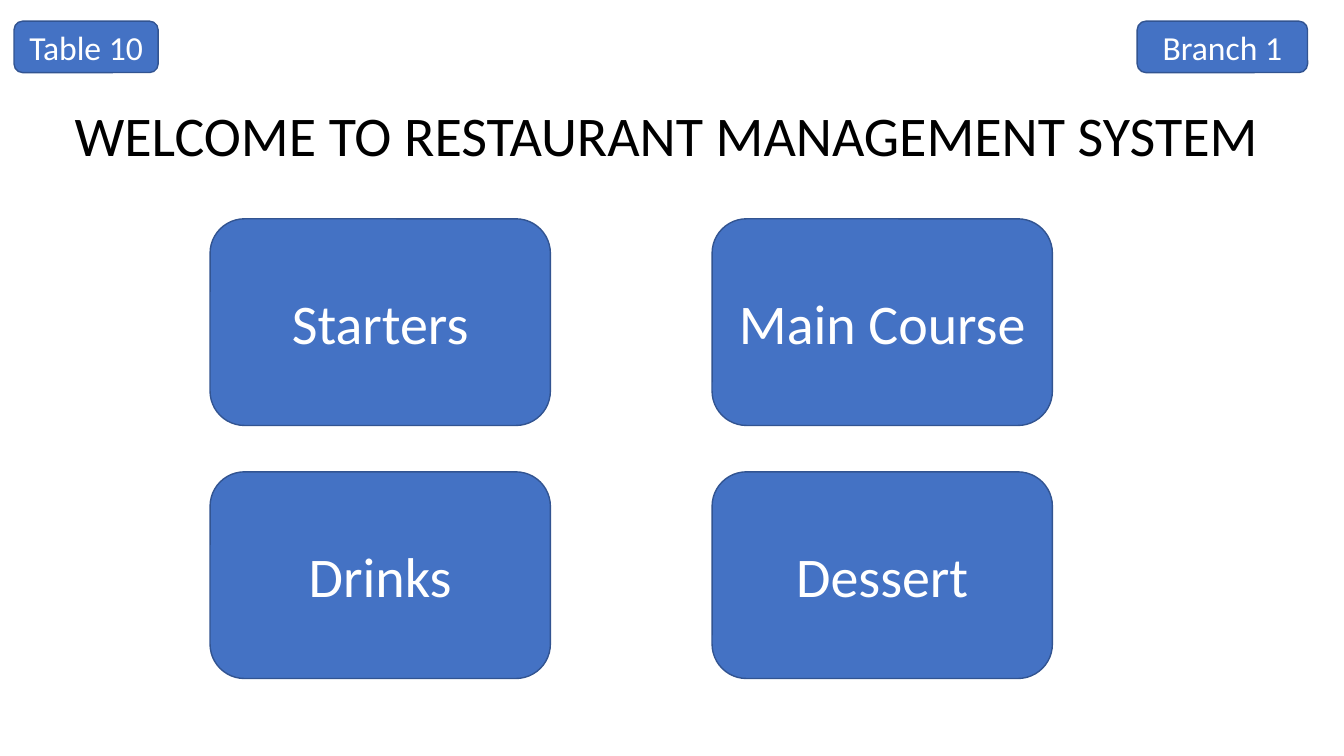
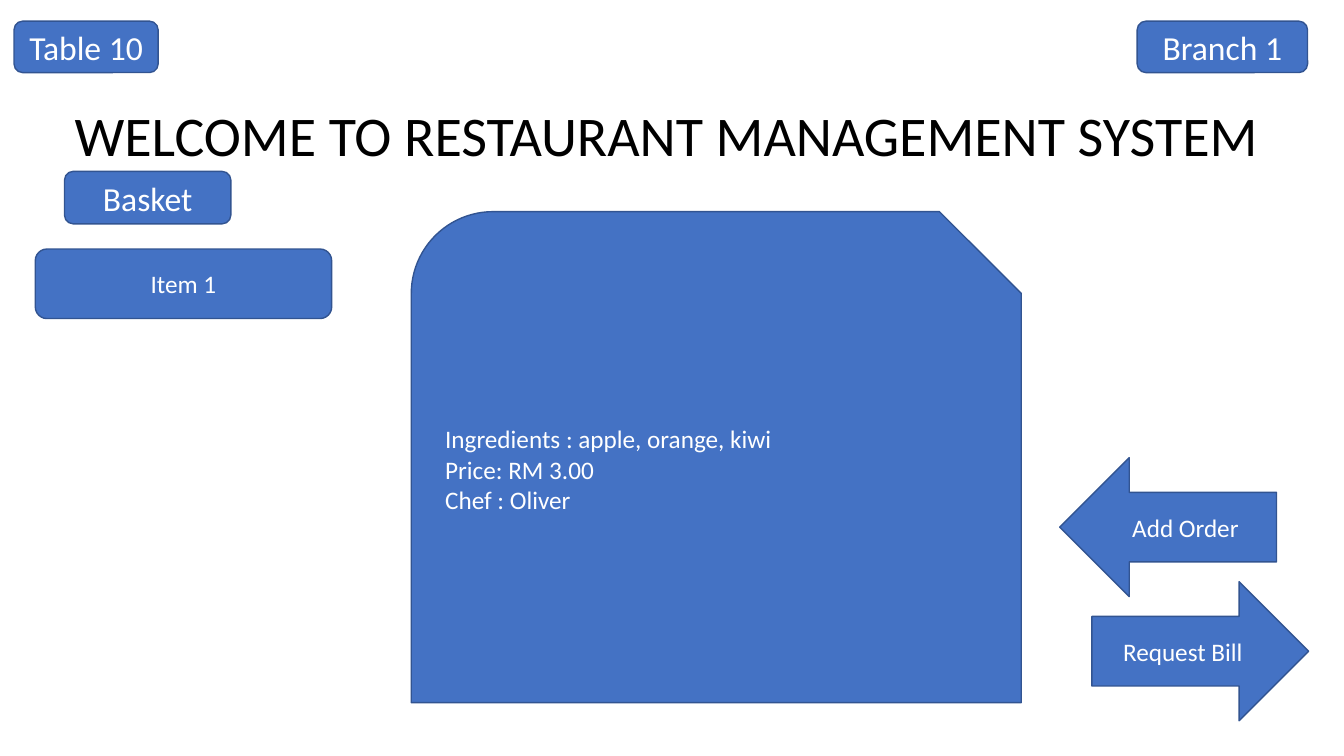
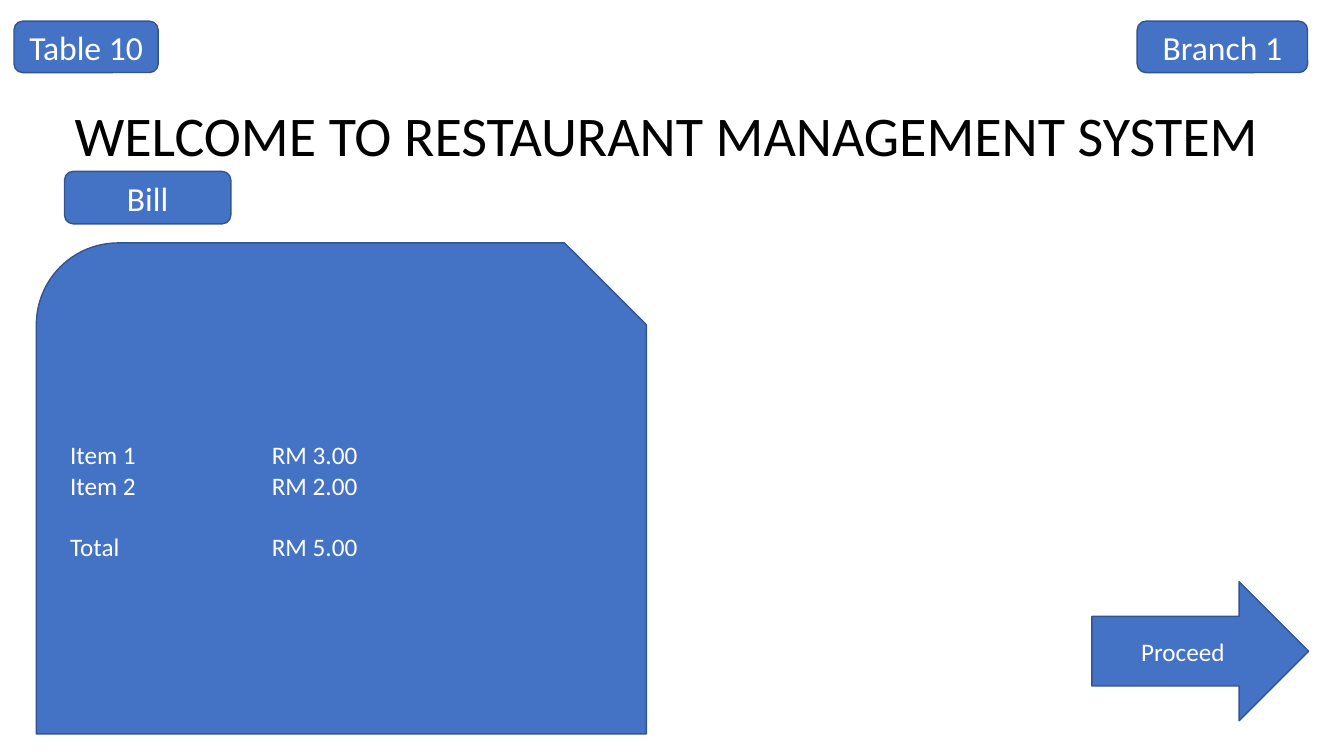
from dataclasses import dataclass
from itertools import product

from lxml.etree import SubElement
from pptx import Presentation
from pptx.dml.color import RGBColor as Rgb
from pptx.enum.shapes import MSO_SHAPE as Shape
from pptx.enum.text import MSO_ANCHOR as Anchor, MSO_AUTO_SIZE as AutoSize, PP_ALIGN as Align
from pptx.oxml.ns import qn
from pptx.util import Inches, Pt


@dataclass(frozen=True)
class Theme:
    font: str = "Calibri"
    fill: Rgb = Rgb.from_string("4472C4")
    outline: Rgb = Rgb.from_string("325491")
    title: Rgb = Rgb.from_string("000000")
    label: Rgb = Rgb.from_string("FFFFFF")
    large: int = 40
    medium: int = 24
    body: int = 18
    outline_width: int = 1


THEME = Theme()
WIDTH, HEIGHT = Inches(13.33), Inches(7.5)
ROWS = 36
CELL = HEIGHT / ROWS

TITLE_BOX = (3.07, 4.56, 59.23, 3.7)
TABLE_BOX = (0.67, 1.01, 6.86, 2.45)
BRANCH_BOX = (54.14, 1.01, 8.11, 2.45)
SECTION_BOX = (3.07, 8.16, 7.92, 2.5)
ITEM_BOX = (1.68, 11.86, 14.11, 3.31)
NEXT_BOX = (51.98, 27.7, 10.32, 6.62)
ADD_BOX = (50.45, 21.79, 10.32, 6.62)
CARD_SIZE = (29.04, 23.38)
TILE_ORIGIN = (10, 10.42)
TILE_SIZE = (16.2, 9.84)
TILE_PITCH = (23.9, 12.05)
PRICE_TAB = Inches(2)


def grid(*lengths):
    return [round(length * CELL) for length in lengths]


def apply(target, values):
    for name, value in values.items():
        setattr(target, name, value)


def write(frame, lines, size, color, align):
    frame.text = "\n".join(lines)
    for paragraph in frame.paragraphs:
        paragraph.alignment = align
        for run in paragraph.runs:
            apply(run.font, {"name": THEME.font, "size": Pt(size)})
            run.font.color.rgb = color


def add_block(slide, kind, box, lines, size=THEME.body, align=Align.CENTER):
    block = slide.shapes.add_shape(kind, *grid(*box))
    block.shadow.inherit = False
    block.fill.solid()
    block.fill.fore_color.rgb = THEME.fill
    block.line.color.rgb = THEME.outline
    block.line.width = Pt(THEME.outline_width)
    apply(block.text_frame, {"word_wrap": True, "vertical_anchor": Anchor.MIDDLE})
    write(block.text_frame, lines, size, THEME.label, align)
    return block


def add_button(slide, box, label, size=THEME.medium):
    add_block(slide, Shape.ROUNDED_RECTANGLE, box, [label], size)


def add_card(slide, corner, lines):
    return add_block(slide, Shape.SNIP_ROUND_RECTANGLE, corner + CARD_SIZE, lines, align=Align.LEFT)


def add_price_tab(paragraph):
    stops = SubElement(paragraph._p.get_or_add_pPr(), qn("a:tabLst"))
    SubElement(stops, qn("a:tab"), pos=str(PRICE_TAB), algn="l")


def add_screen(deck, section=None):
    slide = deck.slides.add_slide(deck.slide_layouts[5])
    title = slide.shapes.title
    apply(title, dict(zip(("left", "top", "width", "height"), grid(*TITLE_BOX))))
    apply(title.text_frame, {
        "word_wrap": True,
        "vertical_anchor": Anchor.TOP,
        "auto_size": AutoSize.SHAPE_TO_FIT_TEXT,
    })
    write(title.text_frame, ["WELCOME TO RESTAURANT MANAGEMENT SYSTEM"],
          THEME.large, THEME.title, Align.LEFT)
    add_button(slide, TABLE_BOX, "Table 10")
    add_button(slide, BRANCH_BOX, "Branch 1")
    if section:
        add_button(slide, SECTION_BOX, section)
    return slide


def build_menu(deck):
    slide = add_screen(deck)
    courses = ("Starters", "Main Course", "Drinks", "Dessert")
    for (row, column), course in zip(product(range(2), repeat=2), courses):
        corner = (TILE_ORIGIN[0] + column * TILE_PITCH[0],
                  TILE_ORIGIN[1] + row * TILE_PITCH[1])
        add_button(slide, corner + TILE_SIZE, course, THEME.large)


def build_basket(deck):
    slide = add_screen(deck, "Basket")
    add_button(slide, ITEM_BOX, "Item 1", THEME.body)
    add_card(slide, (19.58, 10.08), [
        "Ingredients : apple, orange, kiwi",
        "Price: RM 3.00",
        "Chef : Oliver",
    ])
    add_block(slide, Shape.RIGHT_ARROW, NEXT_BOX, ["Request Bill"])
    add_block(slide, Shape.LEFT_ARROW, ADD_BOX, ["Add Order"])


def build_bill(deck):
    slide = add_screen(deck, "Bill")
    charges = (("Item 1", "RM 3.00"), ("Item 2", "RM 2.00"), ("Total", "RM 5.00"))
    card = add_card(slide, (1.73, 11.57), ["\t".join(charge) for charge in charges])
    paragraphs = card.text_frame.paragraphs
    paragraphs[-1].space_before = Pt(22)
    for paragraph in paragraphs:
        add_price_tab(paragraph)
    add_block(slide, Shape.RIGHT_ARROW, NEXT_BOX, ["Proceed"])


def main():
    deck = Presentation()
    apply(deck, {"slide_width": WIDTH, "slide_height": HEIGHT})
    for build in (build_menu, build_basket, build_bill):
        build(deck)
    deck.save("out.pptx")


if __name__ == "__main__":
    main()
